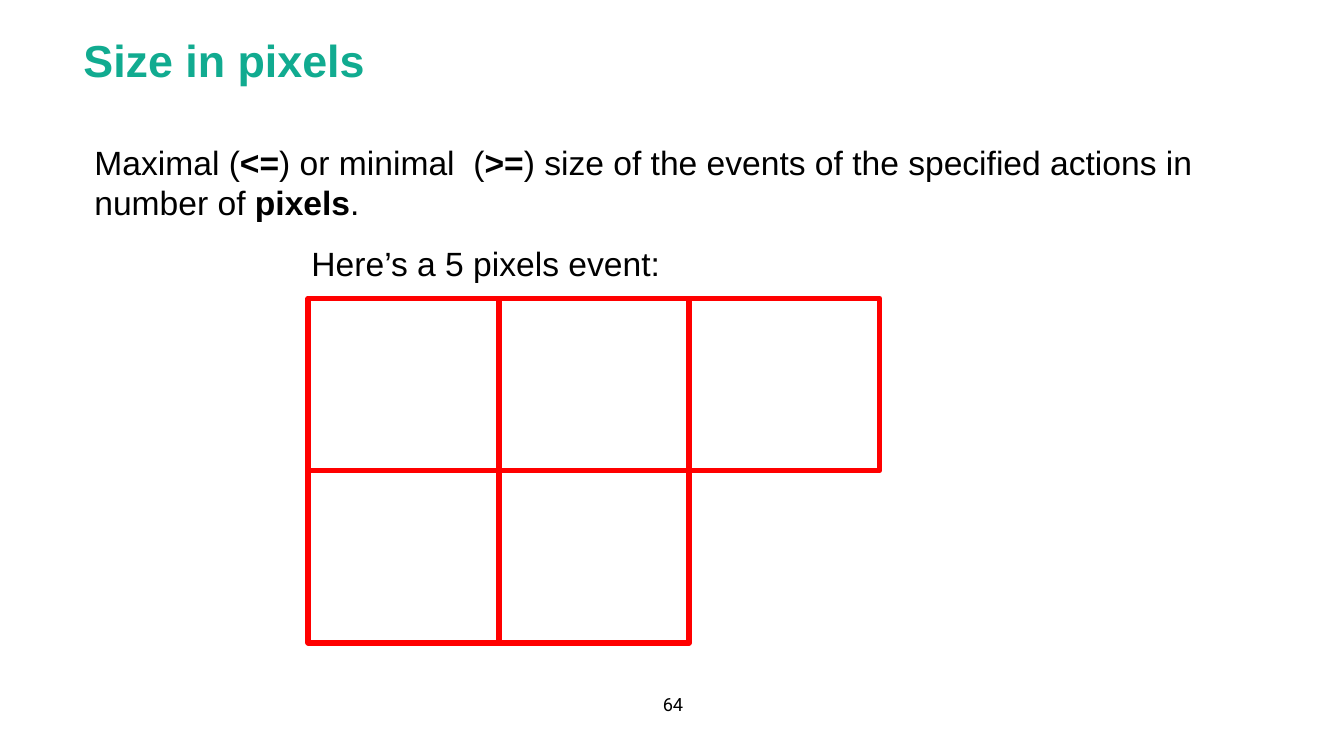
"""Build the slide that explains event size in pixels."""
from pptx import Presentation
from pptx import util as u
from pptx.dml import color
from pptx.enum import shapes, text

COLOURS = {"title": "11AB90", "ink": "000000", "outline": "FF0000", "paper": "FFFFFF"}


def rgb(name):
    """Return the named colour."""
    return color.RGBColor.from_string(COLOURS[name])


def place(part, left, top, width, height):
    """Set position and size in centimetres."""
    part.left, part.top, part.width, part.height = map(u.Cm, (left, top, width, height))


def write(part, pieces, size=24, font="Arial", ink="ink",
          align=text.PP_ALIGN.LEFT, anchor=text.MSO_ANCHOR.TOP):
    """Write one paragraph of (wording, bold) pieces."""
    frame = part.text_frame
    frame.word_wrap = True
    frame.auto_size = text.MSO_AUTO_SIZE.NONE
    frame.vertical_anchor = anchor
    paragraph = frame.paragraphs[0]
    paragraph.alignment = align
    for wording, bold in pieces:
        run = paragraph.add_run()
        run.text = wording
        run.font.size = u.Pt(size)
        run.font.name = font
        run.font.bold = bold
        run.font.color.rgb = rgb(ink)


def add_label(slide, box, pieces, **style):
    """Add a text box with formatted pieces."""
    label = slide.shapes.add_textbox(*map(u.Cm, box))
    write(label, pieces, **style)


def add_pixel(slide, left, top, width, height):
    """Add one outlined pixel of the event."""
    pixel = slide.shapes.add_shape(
        shapes.MSO_SHAPE.RECTANGLE, *map(u.Cm, (left, top, width, height)))
    pixel.shadow.inherit = False
    pixel.fill.solid()
    pixel.fill.fore_color.rgb = rgb("paper")
    pixel.line.color.rgb = rgb("outline")
    pixel.line.width = u.Pt(4)


def add_event(slide, left, top, width, height, row_lengths):
    """Add rows of adjoining pixels."""
    for row, length in enumerate(row_lengths):
        for column in range(length):
            add_pixel(slide, left + column * width, top + row * height, width, height)


def main():
    """Build and save the slide."""
    deck = Presentation()
    deck.slide_width, deck.slide_height = u.Cm(33.87), u.Cm(19.05)
    slide = deck.slides.add_slide(deck.slide_layouts[5])

    heading = slide.shapes.title
    place(heading, 1.85, 0.2, 28.78, 2.11)
    write(heading, [("Size in pixels", True)], size=32, ink="title",
          anchor=text.MSO_ANCHOR.BOTTOM)

    add_event(slide, 7.77, 7.52, 4.8, 4.34, row_lengths=(3, 2))

    add_label(slide, (2.13, 3.45, 29.08, 2.31), [
        ("Maximal (", False), ("<=", True), (") or minimal  (", False), (">=", True),
        (") size of the events of the specified actions in number of ", False),
        ("pixels", True), (".", False)])
    add_label(slide, (7.6, 6, 24, 1.27), [("Here’s a 5 pixels event:", False)])
    add_label(slide, (16.26, 17.32, 1.4, 0.84), [("64", False)], size=13, font="Roboto",
              align=text.PP_ALIGN.CENTER, anchor=text.MSO_ANCHOR.MIDDLE)

    deck.save("out.pptx")


if __name__ == "__main__":
    main()
